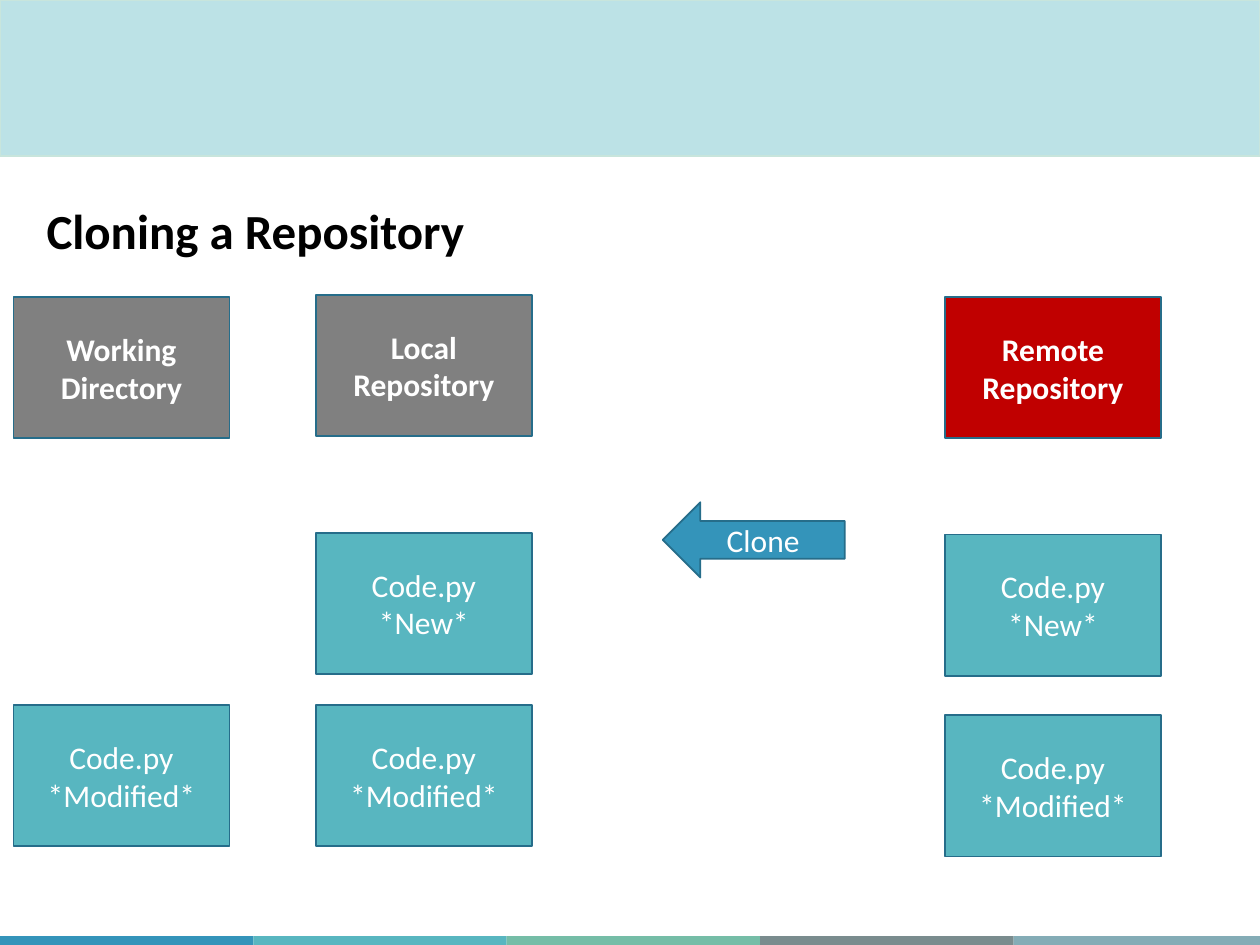
from pptx import Presentation
from pptx.dml.color import RGBColor
from pptx.enum.shapes import MSO_SHAPE
from pptx.enum.text import MSO_ANCHOR, MSO_AUTO_SIZE, PP_ALIGN
from pptx.util import Pt

RECTANGLE, LEFT_ARROW = MSO_SHAPE.RECTANGLE, MSO_SHAPE.LEFT_ARROW
TOP, MIDDLE = MSO_ANCHOR.TOP, MSO_ANCHOR.MIDDLE
LEFT, CENTER = PP_ALIGN.LEFT, PP_ALIGN.CENTER
NO_AUTOFIT = MSO_AUTO_SIZE.NONE

BLACK = RGBColor(0x00, 0x00, 0x00)
WHITE = RGBColor(0xFF, 0xFF, 0xFF)
GRAY = RGBColor(0x80, 0x80, 0x80)
RED = RGBColor(0xC0, 0x00, 0x00)
BLUE = RGBColor(0x34, 0x94, 0xBA)
TEAL = RGBColor(0x58, 0xB6, 0xC0)
GREEN = RGBColor(0x75, 0xBD, 0xA7)
SLATE = RGBColor(0x7A, 0x8C, 0x8E)
MIST = RGBColor(0x84, 0xAC, 0xB6)
OUTLINE = RGBColor(0x26, 0x6D, 0x8A)
BANNER_FILL = RGBColor(0xBC, 0xE2, 0xE6)
BANNER_LINE = RGBColor(0xC8, 0xE5, 0xDC)

FONT = "Calibri"
SLIDE_W, SLIDE_H = 720, 540
BOX_W, BOX_H = 123.4, 80.8
STRIPE_W, STRIPE_H, STRIPE_TOP = 144.8, 7.2, 535

TITLE = "Cloning a Repository"
STRIPES = [BLUE, TEAL, GREEN, SLATE, MIST]
NEW = ["Code.py", "*New*"]
MODIFIED = ["Code.py", "*Modified*"]
# Each column: left edge, heading colour, heading lines, heading top,
# then its file versions with their tops
COLUMNS = [
    (7.7, GRAY, ["Working", "Directory"], 169.7, [(MODIFIED, 402.8)]),
    (180.5, GRAY, ["Local Repository"], 168.5, [(NEW, 304.4), (MODIFIED, 402.8)]),
    (540, RED, ["Remote Repository"], 169.7, [(NEW, 305.4), (MODIFIED, 408.7)]),
]
CLONE_ARROW = (378.7, 287, 104, 43)


def add_block(slide, kind, box, fill, line=None, lines=(), bold=False):
    """Add a filled shape with one centred paragraph per text line."""
    block = slide.shapes.add_shape(kind, *map(Pt, box))
    block.shadow.inherit = False
    block.fill.solid()
    block.fill.fore_color.rgb = fill
    if line is None:
        block.line.fill.background()
    else:
        block.line.color.rgb = line
        block.line.width = Pt(1)
    if lines:
        frame = block.text_frame
        frame.word_wrap = True
        frame.vertical_anchor = MIDDLE
        frame.text = "\n".join(lines)
        for paragraph in frame.paragraphs:
            style_paragraph(paragraph, 18, WHITE, bold, CENTER)


def style_paragraph(paragraph, size, color, bold, alignment):
    paragraph.alignment = alignment
    paragraph.font.name = FONT
    paragraph.font.size = Pt(size)
    paragraph.font.bold = bold
    paragraph.font.color.rgb = color


def add_title(slide):
    title = slide.shapes.title
    title.left, title.top, title.width, title.height = map(Pt, (19.4, 114.5, 682, 388))
    frame = title.text_frame
    frame.text = TITLE
    frame.word_wrap = True
    frame.auto_size = NO_AUTOFIT
    frame.vertical_anchor = TOP
    heading = frame.paragraphs[0]
    style_paragraph(heading, 28, BLACK, True, LEFT)
    heading.line_spacing = 0.9
    heading.space_before = Pt(10)


def main():
    prs = Presentation()
    prs.slide_width, prs.slide_height = Pt(SLIDE_W), Pt(SLIDE_H)
    slide = prs.slides.add_slide(prs.slide_layouts[5])

    for i, color in enumerate(STRIPES):
        add_block(slide, RECTANGLE, (i * STRIPE_W, STRIPE_TOP, STRIPE_W, STRIPE_H), color)
    add_block(slide, RECTANGLE, (0, 0, SLIDE_W, 89.3), BANNER_FILL, BANNER_LINE)
    add_title(slide)

    for left, color, heading, heading_top, versions in COLUMNS:
        add_block(slide, RECTANGLE, (left, heading_top, BOX_W, BOX_H),
                  color, OUTLINE, heading, bold=True)
        for version, top in versions:
            add_block(slide, RECTANGLE, (left, top, BOX_W, BOX_H), TEAL, OUTLINE, version)
    add_block(slide, LEFT_ARROW, CLONE_ARROW, BLUE, OUTLINE, ["Clone"])

    prs.save("out.pptx")


if __name__ == "__main__":
    main()
